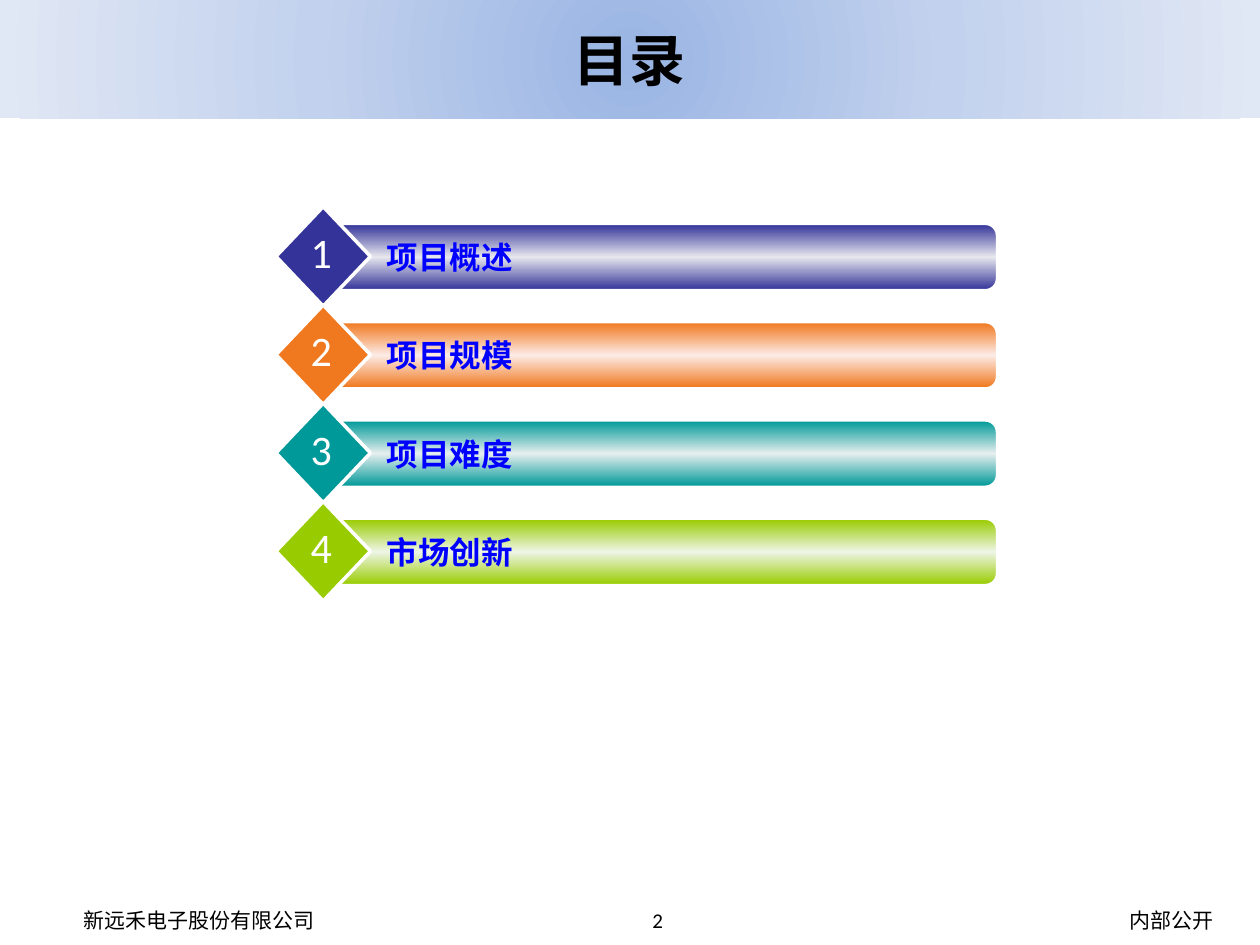
from pptx import Presentation
from pptx.dml.color import RGBColor
from pptx.enum import shapes, text
from pptx.oxml import parse_xml
from pptx.oxml.ns import nsdecls, qn
from pptx.util import Inches, Pt

HEX = {
    "black": "000000", "white": "FFFFFF", "label": "0000FF",
    "core": "9AB5E4", "middle": "C2D1ED", "edge": "E1E8F5",
}
HAN = "Noto Sans CJK SC"
LATIN = "Calibri"
ALIGN = text.PP_ALIGN
ANCHOR = text.MSO_ANCHOR


def shade(shape, colors, mode):
    shape.fill.gradient()
    grad = shape._element.spPr.find(qn("a:gradFill"))
    stops = "".join(
        f'<a:gs pos="{i * 50000}"><a:srgbClr val="{c}"/></a:gs>'
        for i, c in enumerate(colors))
    new = parse_xml(f'<a:gradFill {nsdecls("a")} rotWithShape="1">'
                    f'<a:gsLst>{stops}</a:gsLst>{mode}</a:gradFill>')
    grad.getparent().replace(grad, new)


def write(shape, words, size, color, face, align, anchor=ANCHOR.MIDDLE, bold=False):
    frame = shape.text_frame
    frame.word_wrap = True
    frame.auto_size = text.MSO_AUTO_SIZE.NONE
    frame.vertical_anchor = anchor
    para = frame.paragraphs[0]
    para.text = words
    para.alignment = align
    font = para.font
    font.size = Pt(size)
    font.bold = bold
    font.name = face
    font.color.rgb = RGBColor.from_string(HEX[color])
    font._element.find(qn("a:latin")).addnext(
        parse_xml(f'<a:ea {nsdecls("a")} typeface="{HAN}"/>'))


deck = Presentation()
deck.slide_width, deck.slide_height = Inches(10), Inches(7.5)
slide = deck.slides.add_slide(deck.slide_layouts[5])

title = slide.shapes.title
title.left, title.top = Inches(0), Inches(0)
title.width, title.height = Inches(10), Inches(0.94)
shade(title, [HEX["core"], HEX["middle"], HEX["edge"]],
      '<a:path path="circle"><a:fillToRect l="50000" t="50000" r="50000" b="50000"/></a:path>')
write(title, "目录", 32, "black", HAN, ALIGN.CENTER, bold=True)

footers = [
    (0.27, 2.62, "新远禾电子股份有限公司", ALIGN.CENTER),
    (8.59, 1.41, "内部公开", ALIGN.CENTER),
    (4.92, 0.44, "2", ALIGN.RIGHT),
]
for left, width, words, align in footers:
    box = slide.shapes.add_textbox(Inches(left), Inches(7.1), Inches(width), Inches(0.4))
    write(box, words, 12, "black", LATIN, align)

topics = [
    ("项目概述", "333399", "E7E7EE"),
    ("项目规模", "F0781E", "FCEBE6"),
    ("项目难度", "009999", "E6EEEE"),
    ("市场创新", "99CC00", "EEF5E6"),
]
for i, (words, dark, light) in enumerate(topics):
    top = 1.64 + 0.78 * i
    bar = slide.shapes.add_shape(
        shapes.MSO_SHAPE.ROUNDED_RECTANGLE,
        Inches(2.6), Inches(top + 0.14), Inches(5.31), Inches(0.52))
    bar.adjustments[0] = 0.17
    shade(bar, [dark, light, dark], '<a:lin ang="5400000" scaled="0"/>')

    gem = slide.shapes.add_shape(
        shapes.MSO_SHAPE.DIAMOND,
        Inches(2.19), Inches(top), Inches(0.75), Inches(0.79))
    gem.fill.solid()
    gem.fill.fore_color.rgb = RGBColor.from_string(dark)

    for shape, line in ((bar, 1), (gem, 2)):
        shape.shadow.inherit = False
        shape.line.color.rgb = RGBColor.from_string(HEX["white"])
        shape.line.width = Pt(line)

    label = slide.shapes.add_textbox(
        Inches(2.85), Inches(top + 0.2), Inches(3.75), Inches(0.4))
    write(label, words, 18, "label", HAN, ALIGN.LEFT, ANCHOR.TOP, True)
    label.text_frame.margin_left = Inches(0.22)

    digit = slide.shapes.add_textbox(
        Inches(2.36), Inches(top + 0.11), Inches(0.38), Inches(0.5))
    write(digit, str(i + 1), 24, "white", LATIN, ALIGN.CENTER, ANCHOR.TOP)

deck.save("out.pptx")
